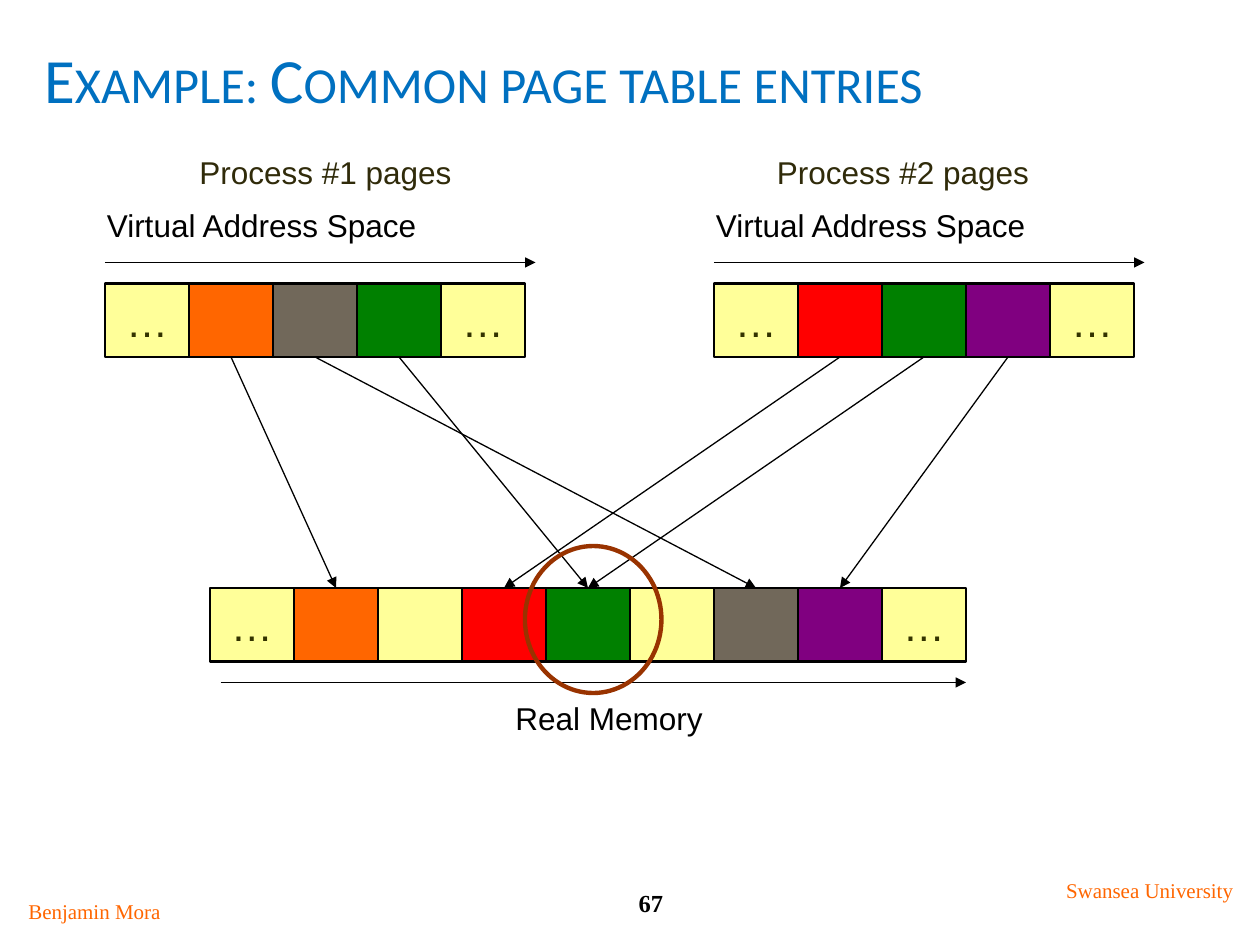
"""Build a slide showing two processes that share a page of real memory."""
from dataclasses import dataclass

import lxml.etree
import pptx
import pptx.dml.color
import pptx.enum.shapes
import pptx.enum.text
import pptx.oxml.ns
import pptx.util

Pt = pptx.util.Pt
ALIGN = pptx.enum.text.PP_ALIGN
ANCHOR = pptx.enum.text.MSO_ANCHOR
SHAPE = pptx.enum.shapes.MSO_SHAPE

COLORS = {
    "title": "0070C0", "black": "000000", "footer": "FF6600",
    "process": "302B0A", "dots": "333300", "ring": "993300",
    "free": "FFFF99", "orange": "FF6600", "gray": "71685A",
    "green": "008000", "red": "FF0000", "purple": "800080",
}
CELL_WIDTH, CELL_HEIGHT = 48, 42


@dataclass
class Strip:
    """A row of memory pages, the first and last being elided."""
    left: float
    top: float
    pages: tuple[str, ...]

    def center(self, page: str) -> float:
        """Return the horizontal centre of the named page."""
        return self.left + (self.pages.index(page) + 0.5) * CELL_WIDTH


@dataclass
class Label:
    """A single line of text in its own box."""
    text: str
    left: float
    top: float
    width: float
    height: float
    color: str = "black"
    font: str = "Arial"
    size: float = 18
    bold: bool = False
    align: ALIGN = ALIGN.CENTER


PROCESSES = (
    Strip(60, 162, ("free", "orange", "gray", "green", "free")),
    Strip(408, 162, ("free", "red", "green", "purple", "free")),
)
MEMORY = Strip(120, 336, ("free", "orange", "free", "red", "green",
                          "free", "gray", "purple", "free"))
SERIF = "Times New Roman"
LABELS = (
    Label("67", 324, 504, 96, 24, font=SERIF, size=14, bold=True),
    Label("Benjamin Mora", 6, 510, 96, 21.6, "footer", SERIF, 12),
    Label("Swansea University", 600, 498, 114, 21.6, "footer", SERIF, 12),
    Label("Process #1 pages", 42, 84, 288, 28.8, "process"),
    Label("Process #2 pages", 372, 84, 288, 28.8, "process"),
    Label("Virtual Address Space", 54, 114, 288, 28.8, align=ALIGN.LEFT),
    Label("Virtual Address Space", 402, 114, 288, 28.8, align=ALIGN.LEFT),
    Label("Real Memory", 204, 396, 288, 28.8),
)


def rgb(name: str) -> pptx.dml.color.RGBColor:
    """Return the named colour."""
    return pptx.dml.color.RGBColor.from_string(COLORS[name])


def write(frame, text: str, font: str, size: float, color: str,
          align: ALIGN, bold: bool = False) -> None:
    """Set and format one line of text."""
    frame.text = text
    para = frame.paragraphs[0]
    para.alignment = align
    span = para.runs[0]
    span.font.name = font
    span.font.size = Pt(size)
    span.font.bold = bold
    span.font.color.rgb = rgb(color)


def add_title(page, text: str) -> None:
    """Place the title and set it in small capitals."""
    title = page.shapes.title
    title.left, title.top, title.width, title.height = Pt(18), Pt(12), Pt(684), Pt(66)
    write(title.text_frame, text, "Calibri", 36, "title", ALIGN.LEFT)
    title.text_frame.vertical_anchor = ANCHOR.MIDDLE
    title.text_frame.paragraphs[0].runs[0]._r.get_or_add_rPr().set("cap", "small")


def add_label(page, label: Label) -> None:
    """Draw a text box."""
    box = page.shapes.add_textbox(Pt(label.left), Pt(label.top),
                                  Pt(label.width), Pt(label.height))
    box.text_frame.word_wrap = True
    write(box.text_frame, label.text, label.font, label.size,
          label.color, label.align, label.bold)


def add_strip(page, strip: Strip) -> None:
    """Draw a row of page cells."""
    for index, name in enumerate(strip.pages):
        cell = page.shapes.add_shape(
            SHAPE.RECTANGLE, Pt(strip.left + index * CELL_WIDTH), Pt(strip.top),
            Pt(CELL_WIDTH), Pt(CELL_HEIGHT))
        cell.shadow.inherit = False
        cell.fill.solid()
        cell.fill.fore_color.rgb = rgb(name)
        cell.line.color.rgb = rgb("black")
        cell.line.width = Pt(1.5)
        if index in (0, len(strip.pages) - 1):
            frame = cell.text_frame
            write(frame, "…", "Arial", 24, "dots", ALIGN.CENTER)
            frame.word_wrap = False
            frame.vertical_anchor = ANCHOR.MIDDLE


def add_arrow(page, x1: float, y1: float, x2: float, y2: float) -> None:
    """Draw a thin line with an arrowhead at its end."""
    arrow = page.shapes.add_connector(
        pptx.enum.shapes.MSO_CONNECTOR.STRAIGHT, Pt(x1), Pt(y1), Pt(x2), Pt(y2))
    arrow.line.color.rgb = rgb("black")
    arrow.line.width = Pt(0.75)
    qn = pptx.oxml.ns.qn
    lxml.etree.SubElement(arrow.line._get_or_add_ln(), qn("a:tailEnd"), type="triangle")
    lxml.etree.SubElement(arrow._element.spPr, qn("a:effectLst"))


def add_ring(page) -> None:
    """Circle the shared page."""
    ring = page.shapes.add_shape(SHAPE.OVAL, Pt(300), Pt(312), Pt(78), Pt(84))
    ring.shadow.inherit = False
    ring.fill.background()
    ring.line.color.rgb = rgb("ring")
    ring.line.width = Pt(2.5)


def main() -> None:
    """Build and save the deck."""
    deck = pptx.Presentation()
    deck.slide_width, deck.slide_height = Pt(720), Pt(540)
    page = deck.slides.add_slide(deck.slide_layouts[5])
    add_title(page, "Example: Common page table entries")
    for label in LABELS:
        add_label(page, label)
    for strip in (*PROCESSES, MEMORY):
        add_strip(page, strip)
    for process in PROCESSES:
        add_arrow(page, process.left, 150, process.left + 246, 150)
        for name in process.pages[1:-1]:
            add_arrow(page, process.center(name), process.top + CELL_HEIGHT,
                      MEMORY.center(name), MEMORY.top)
    add_arrow(page, 126, 390, 552, 390)
    add_ring(page)
    deck.save("out.pptx")


if __name__ == "__main__":
    main()
